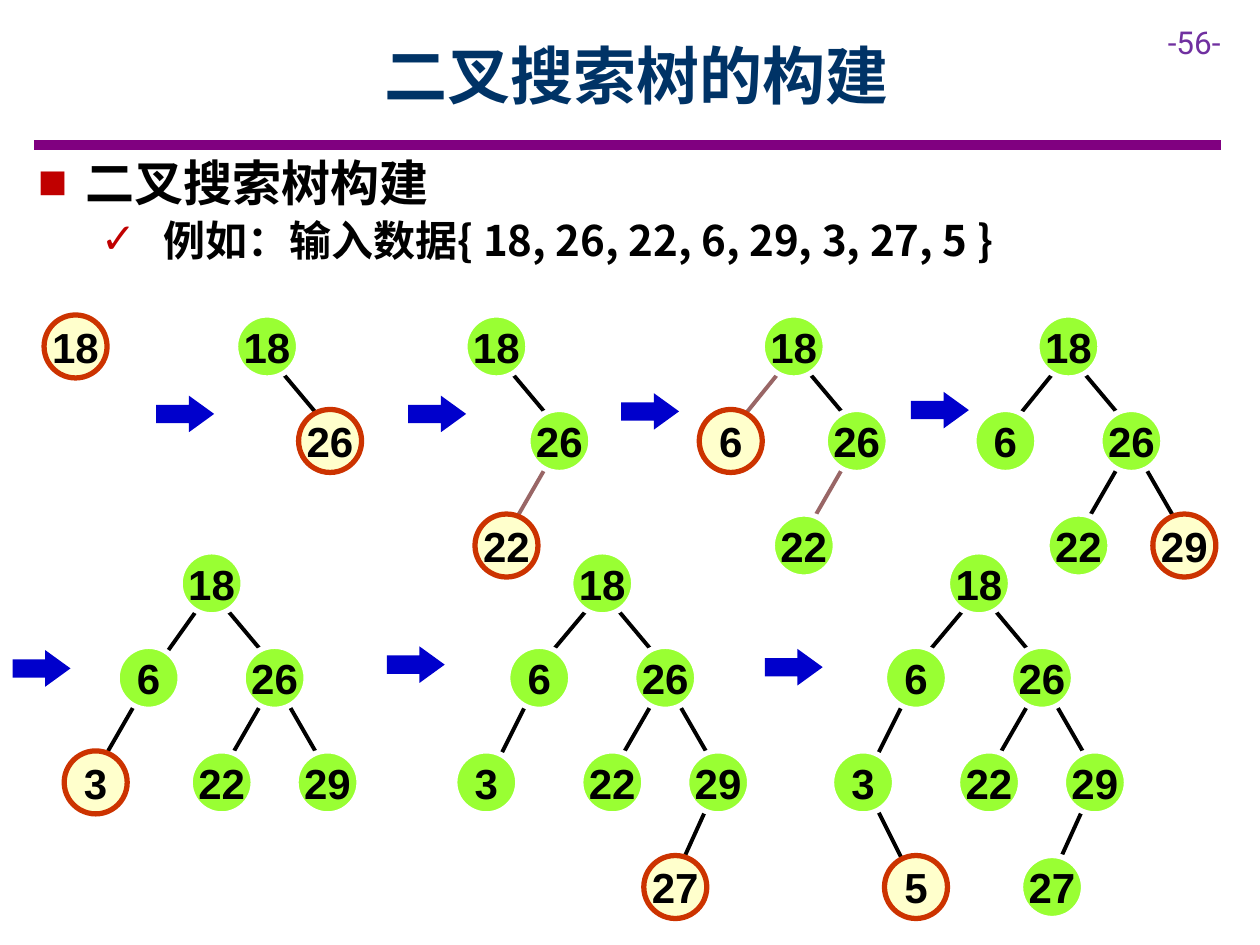
from dataclasses import dataclass

from lxml.etree import SubElement
from pptx import Presentation
from pptx.dml.color import RGBColor
from pptx.enum.shapes import MSO_CONNECTOR, MSO_SHAPE
from pptx.enum.text import MSO_ANCHOR, MSO_AUTO_SIZE, PP_ALIGN
from pptx.oxml.ns import qn
from pptx.util import Inches, Pt


@dataclass(frozen=True)
class Theme:
    title: str = "003366"
    text: str = "000000"
    bullet: str = "C00000"
    rule: str = "800080"
    page: str = "7030A0"
    node: str = "99FF33"
    node_line: str = "FFFFFF"
    new_node: str = "FFFFCC"
    new_node_line: str = "CC3300"
    edge: str = "000000"
    muted_edge: str = "996666"
    arrow: str = "0000CC"
    heading_font: str = "Noto Sans CJK SC"
    node_font: str = "Arial"
    page_font: str = "Roboto"
    title_size: int = 36
    topic_size: int = 28
    example_size: int = 24
    node_size: int = 24
    page_size: int = 18


@dataclass(frozen=True)
class Box:
    left: float
    top: float
    width: float
    height: float


THEME = Theme()
KEYS = (18, 26, 22, 6, 29, 3, 27, 5)
NODE_SIZE = 0.5
NODE_OFFSETS = {
    18: (0, 0), 6: (-0.5, 0.75), 26: (0.5, 0.75),
    3: (-0.92, 1.58), 22: (0.08, 1.58), 29: (0.92, 1.58),
    5: (-0.5, 2.41), 27: (0.58, 2.41),
}
EDGES = {
    26: ((0.33, 0.41), (0.75, 0.91)),
    6: ((0.17, 0.41), (-0.25, 0.91)),
    22: ((0.67, 1.16), (0.33, 1.75)),
    29: ((0.83, 1.16), (1.17, 1.75)),
    3: ((-0.33, 1.16), (-0.58, 1.66)),
    27: ((1.17, 1.83), (0.83, 2.58)),
    5: ((-0.58, 2), (-0.33, 2.5)),
}
EDGE_ENDS = {
    4: {6: (-0.17, 0.83)},
    5: {6: (-0.17, 0.83)},
    6: {6: (-0.25, 1), 3: (-0.67, 1.75)},
}
MUTED_EDGES = {3: {22}, 4: {6, 22}}
ROOTS = (
    (0.35, 2.5), (1.87, 2.5), (3.69, 2.5), (6.05, 2.5), (8.23, 2.5),
    (1.43, 4.38), (4.53, 4.38), (7.52, 4.38),
)
ARROWS = (
    None, (1.24, 3.14), (3.24, 3.14), (4.93, 3.12), (7.23, 3.11),
    (0.1, 5.16), (3.07, 5.13), (6.07, 5.15),
)


def color(value):
    return RGBColor.from_string(value)


def place(shape, box):
    shape.left, shape.top = Inches(box.left), Inches(box.top)
    shape.width, shape.height = Inches(box.width), Inches(box.height)


def format_runs(paragraph, font_name, size, font_color, bold=True):
    for run in paragraph.runs:
        run.font.name = font_name
        run.font.size = Pt(size)
        run.font.bold = bold
        run.font.color.rgb = color(font_color)
        SubElement(run.font._element, qn("a:ea"), typeface=font_name)


def add_line(shapes, start, end, line_color, width):
    points = [Inches(value) for value in (*start, *end)]
    line = shapes.add_connector(MSO_CONNECTOR.STRAIGHT, *points)
    line.line.color.rgb = color(line_color)
    line.line.width = Pt(width)
    SubElement(line._element.spPr, qn("a:effectLst"))


def add_filled_shape(shapes, preset, box, fill_color):
    shape = shapes.add_shape(preset, Inches(box.left), Inches(box.top),
                             Inches(box.width), Inches(box.height))
    shape.shadow.inherit = False
    shape.fill.solid()
    shape.fill.fore_color.rgb = color(fill_color)
    return shape


def add_node(shapes, key, left, top, is_new):
    box = Box(left, top, NODE_SIZE, NODE_SIZE)
    fill = THEME.new_node if is_new else THEME.node
    outline = THEME.new_node_line if is_new else THEME.node_line
    node = add_filled_shape(shapes, MSO_SHAPE.OVAL, box, fill)
    node.line.color.rgb = color(outline)
    node.line.width = Pt(3)
    frame = node.text_frame
    frame.margin_left = frame.margin_right = 0
    frame.margin_top = frame.margin_bottom = 0
    frame.word_wrap = False
    frame.vertical_anchor = MSO_ANCHOR.MIDDLE
    frame.text = str(key)
    frame.paragraphs[0].alignment = PP_ALIGN.CENTER
    format_runs(frame.paragraphs[0], THEME.node_font, THEME.node_size, THEME.text)


def add_arrow(shapes, left, top):
    box = Box(left, top, 0.46, 0.29)
    arrow = add_filled_shape(shapes, MSO_SHAPE.RIGHT_ARROW, box, THEME.arrow)
    arrow.adjustments[0] = 0.5
    arrow.adjustments[1] = 0.69
    arrow.line.fill.background()


def add_tree(slide, step, root, arrow):
    shapes = slide.shapes.add_group_shape().shapes if arrow else slide.shapes
    left, top = root
    keys = KEYS[:step]
    for key in keys[1:]:
        start, end = EDGES[key]
        end = EDGE_ENDS.get(step, {}).get(key, end)
        muted = key in MUTED_EDGES.get(step, ())
        add_line(shapes, (left + start[0], top + start[1]),
                 (left + end[0], top + end[1]),
                 THEME.muted_edge if muted else THEME.edge, 2.25)
    for key in keys:
        across, down = NODE_OFFSETS[key]
        add_node(shapes, key, left + across, top + down, key == keys[-1])
    if arrow:
        add_arrow(shapes, *arrow)


def fill_title(slide, box):
    title = slide.shapes.title
    place(title, box)
    frame = title.text_frame
    frame.text = "二叉搜索树的构建"
    frame.auto_size = MSO_AUTO_SIZE.NONE
    frame.vertical_anchor = MSO_ANCHOR.MIDDLE
    frame.paragraphs[0].alignment = PP_ALIGN.CENTER
    format_runs(frame.paragraphs[0], THEME.heading_font, THEME.title_size, THEME.title)


def format_bullet(paragraph, margin, indent, character):
    paragraph.line_spacing = 0.85
    paragraph.space_before = Pt(0)
    paragraph.space_after = Pt(6)
    properties = paragraph._p.get_or_add_pPr()
    properties.set("marL", str(Inches(margin)))
    properties.set("indent", str(Inches(indent)))
    bullet_color = SubElement(properties, qn("a:buClr"))
    SubElement(bullet_color, qn("a:srgbClr"), val=THEME.bullet)
    SubElement(properties, qn("a:buFont"), typeface=THEME.node_font)
    SubElement(properties, qn("a:buChar"), char=character)


def fill_body(slide, box):
    body = slide.placeholders[1]
    place(body, box)
    frame = body.text_frame
    frame.auto_size = MSO_AUTO_SIZE.NONE
    frame.text = "二叉搜索树构建\n例如：输入数据{ 18, 26, 22, 6, 29, 3, 27, 5 }"
    topic, example = frame.paragraphs
    example.level = 1
    format_bullet(topic, 0.38, -0.38, "■")
    format_bullet(example, 1, -0.5, "✓")
    format_runs(topic, THEME.heading_font, THEME.topic_size, THEME.text)
    format_runs(example, THEME.heading_font, THEME.example_size, THEME.text)


def add_page_number(slide, box):
    text_box = slide.shapes.add_textbox(0, 0, 0, 0)
    place(text_box, box)
    frame = text_box.text_frame
    frame.word_wrap = True
    frame.text = "-56-"
    format_runs(frame.paragraphs[0], THEME.page_font, THEME.page_size, THEME.page, False)


def main():
    presentation = Presentation()
    presentation.slide_width, presentation.slide_height = Inches(10), Inches(7.5)
    slide = presentation.slides.add_slide(presentation.slide_layouts[1])
    add_line(slide.shapes, (0.27, 1.15), (9.69, 1.15), THEME.rule, 6)
    add_page_number(slide, Box(9.17, 0.13, 0.83, 0.4))
    fill_title(slide, Box(0.9, 0.09, 8.31, 1))
    fill_body(slide, Box(0.2, 1.23, 9.61, 1.06))
    for step, (root, arrow) in enumerate(zip(ROOTS, ARROWS), start=1):
        add_tree(slide, step, root, arrow)
    presentation.save("out.pptx")


if __name__ == "__main__":
    main()
